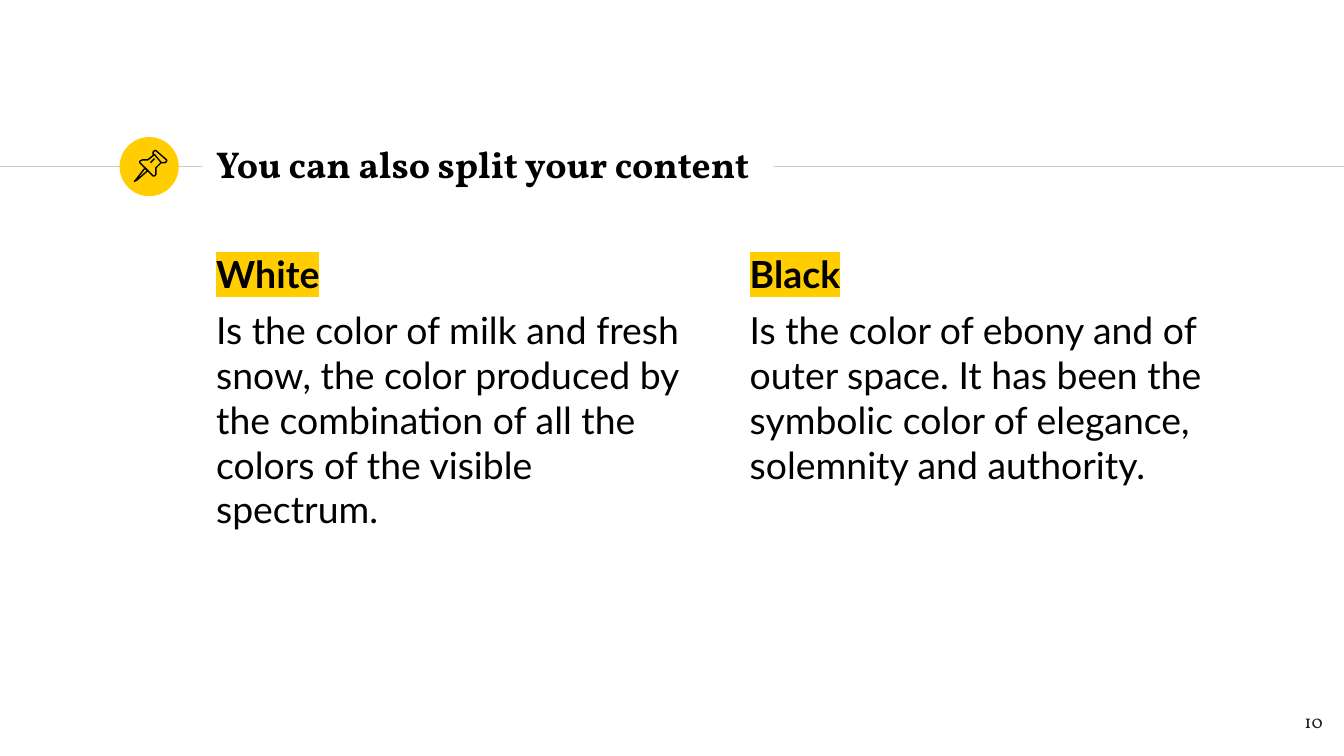
from lxml import etree
from pptx import Presentation
from pptx.dml.color import RGBColor
from pptx.enum.shapes import MSO_CONNECTOR, MSO_SHAPE
from pptx.enum.text import MSO_ANCHOR, PP_ALIGN
from pptx.oxml.ns import qn
from pptx.util import Inches, Pt

STRAIGHT = MSO_CONNECTOR.STRAIGHT
OVAL = MSO_SHAPE.OVAL
TOP, MIDDLE = MSO_ANCHOR.TOP, MSO_ANCHOR.MIDDLE
LEFT, RIGHT = PP_ALIGN.LEFT, PP_ALIGN.RIGHT


def rgb(code):
    return RGBColor.from_string(code)


class Deck:
    black, ink, gold, grey = "000000", "1D1D1B", "FFCD00", "CCCCCC"
    head, body = "Vollkorn", "Lato"

    def __init__(self, slide):
        self.slide = slide
        self.shapes = slide.shapes

    def rule(self, left, right, y):
        line = self.shapes.add_connector(
            STRAIGHT, Inches(left), Inches(y), Inches(right), Inches(y))
        line.line.color.rgb = rgb(self.grey)
        line.line.width = Pt(0.75)
        etree.SubElement(line._element.spPr, qn("a:effectLst"))

    def disc(self, left, top, size):
        disc = self.shapes.add_shape(
            OVAL, Inches(left), Inches(top), Inches(size), Inches(size))
        disc.shadow.inherit = False
        disc.fill.solid()
        disc.fill.fore_color.rgb = rgb(self.gold)
        disc.line.fill.background()

    def outline(self, points, close):
        """Draw a path whose points are in hundredths of an inch."""
        pen = self.shapes.build_freeform(*points[0], scale=Inches(0.01))
        pen.add_line_segments(points[1:], close=close)
        shape = pen.convert_to_shape()
        shape.shadow.inherit = False
        shape.fill.background()
        shape.line.color.rgb = rgb(self.black)
        shape.line.width = Pt(0.75)

    def box(self, left, top, width, height, anchor=TOP):
        frame = self.shapes.add_textbox(
            Inches(left), Inches(top), Inches(width), Inches(height)).text_frame
        frame.word_wrap = True
        frame.vertical_anchor = anchor
        frame.margin_left = frame.margin_right = Inches(0.1)
        frame.margin_top = frame.margin_bottom = Inches(0.1)
        return frame

    def run(self, para, text, face, size=20, color=black, bold=False, mark=None):
        run = para.add_run()
        run.text = text
        font = run.font
        font.size, font.bold = Pt(size), bold
        font.color.rgb = rgb(color)
        if mark:
            glow = etree.SubElement(run._r.get_or_add_rPr(), qn("a:highlight"))
            etree.SubElement(glow, qn("a:srgbClr"), val=mark)
        font.name = face

    def title(self, text):
        frame = self.box(1.51, 0.98, 4.24, 0.48, MIDDLE)
        self.run(frame.paragraphs[0], text, self.head, bold=True)

    def column(self, left, name, text):
        frame = self.box(left, 1.77, 3.75, 3.53)
        self.run(frame.paragraphs[0], name, self.body, bold=True, mark=self.gold)
        para = frame.add_paragraph()
        para.alignment = LEFT
        para.space_before = Pt(6)
        self.run(para, text, self.body)

    def number(self, text):
        para = self.box(9.34, 5.2, 0.6, 0.43).paragraphs[0]
        para.alignment = RIGHT
        self.run(para, text, self.head, size=10, color=self.ink)


# Pushpin parts: points and whether the path closes
PIN = [
    # Needle
    ([(108, 125), (101, 134), (100, 135), (102, 134), (110, 127)], True),
    # Cap
    ([(115, 115), (120, 121), (122, 121), (123, 121), (124, 120), (124, 119),
      (116, 112), (115, 112), (114, 113), (114, 115)], True),
    # Body
    ([(115, 115), (110, 119), (106, 119), (104, 120), (104, 121), (114, 131),
      (115, 131), (116, 130), (116, 125), (120, 121)], False),
    # Shine
    ([(112, 121), (115, 118)], False),
]

COLUMNS = [
    (1.51, "White", "Is the color of milk and fresh snow, the color produced by "
     "the combination of all the colors of the visible spectrum."),
    (5.48, "Black", "Is the color of ebony and of outer space. It has been the "
     "symbolic color of elegance, solemnity and authority."),
]


def main():
    show = Presentation()
    # Widescreen, 16 to 9
    show.slide_width = Inches(10)
    show.slide_height = Inches(10) * 9 // 16
    deck = Deck(show.slides.add_slide(show.slide_layouts[6]))

    # Header line and badge
    deck.rule(0, 1.5, 1.24)
    deck.disc(0.89, 1.02, 0.44)
    deck.rule(5.76, 10, 1.24)
    for points, close in PIN:
        deck.outline(points, close)

    # Title and columns
    deck.title("You can also split your content")
    for left, name, text in COLUMNS:
        deck.column(left, name, text)

    # Page number
    deck.number("10")
    show.save("out.pptx")


if __name__ == "__main__":
    main()
